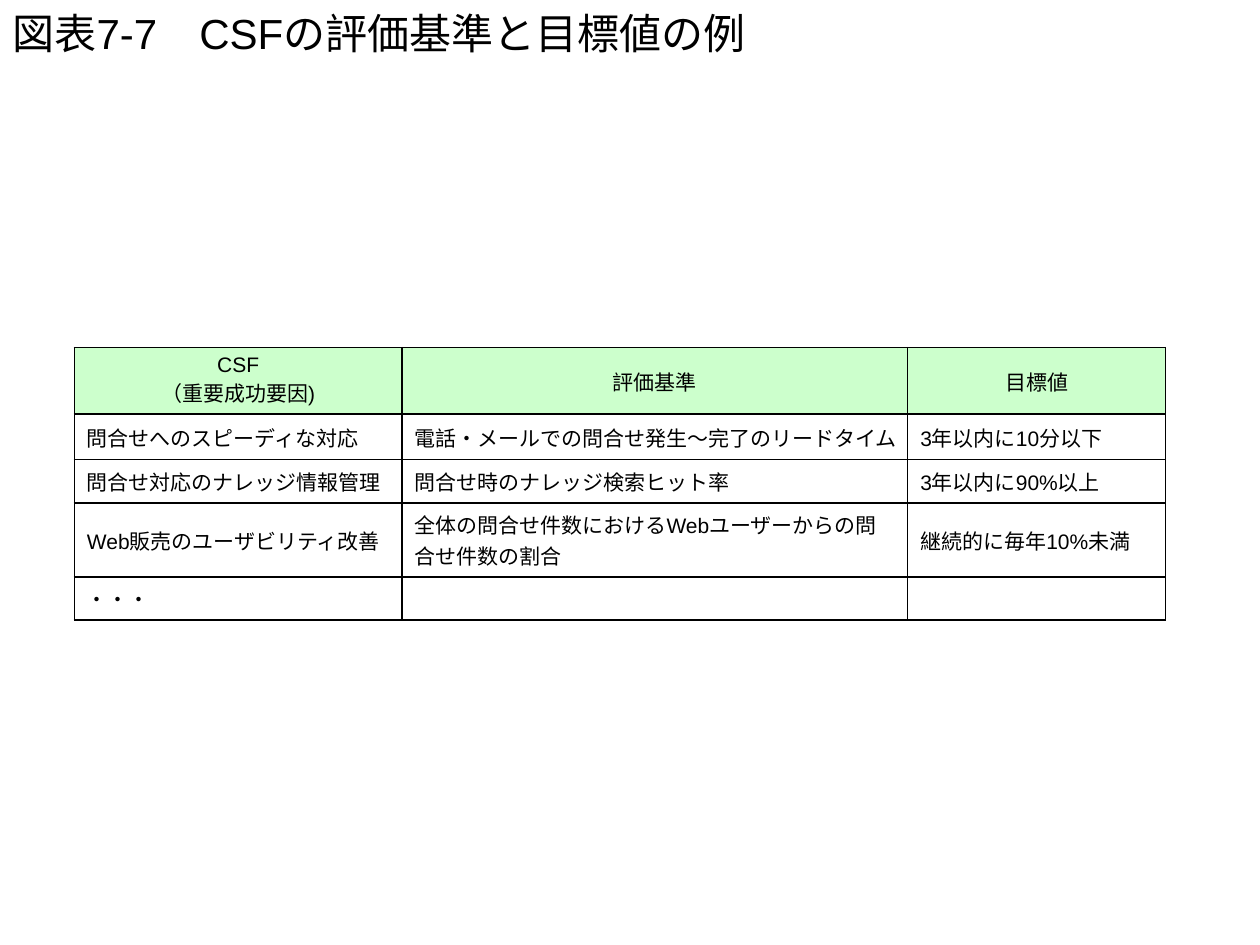
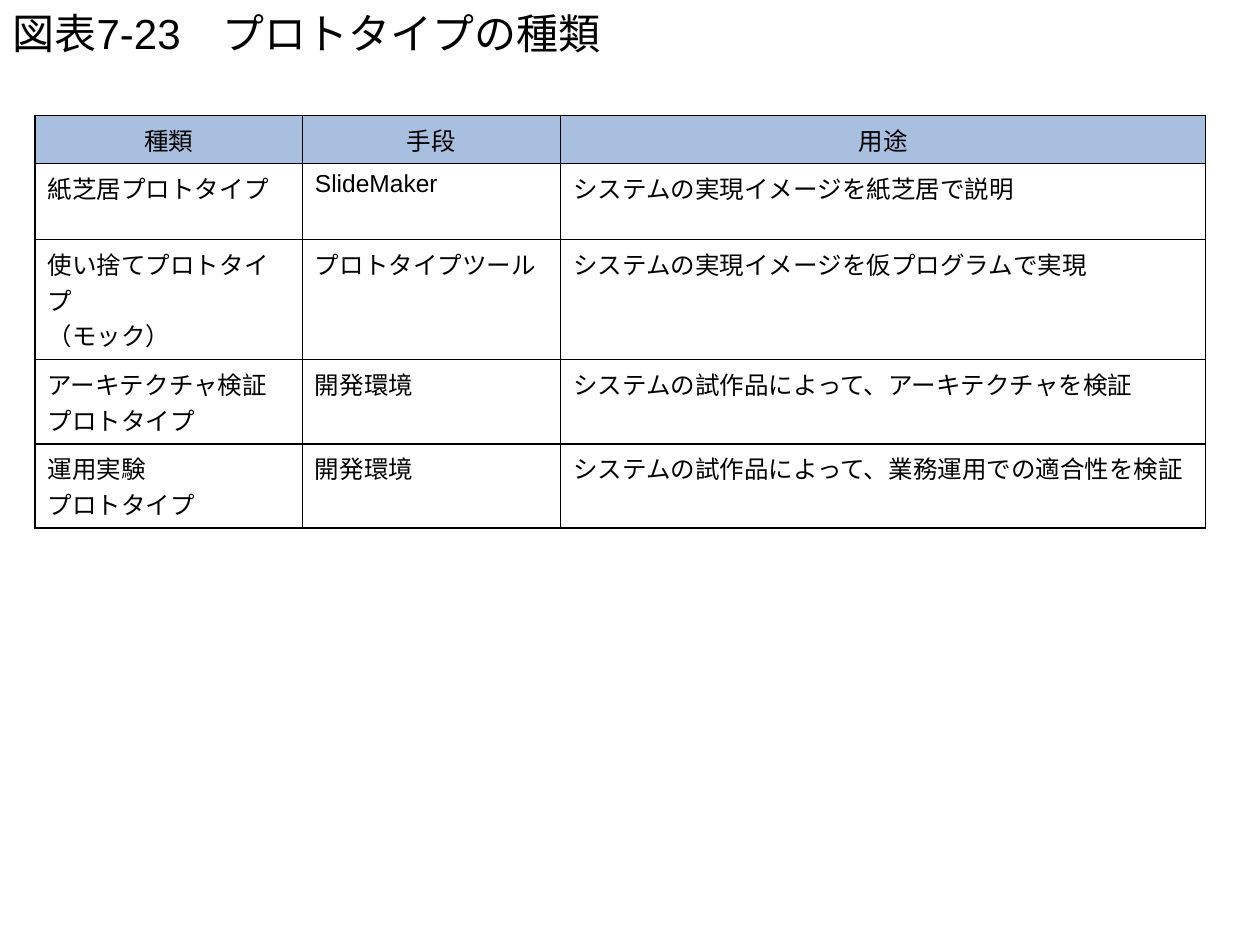
from pptx import Presentation
from pptx.dml.color import RGBColor
from pptx.enum.text import MSO_ANCHOR, MSO_AUTO_SIZE, PP_ALIGN
from pptx.oxml import parse_xml
from pptx.oxml.ns import nsdecls
from pptx.util import Pt

FONT = "Arial"
BLACK, WHITE = "000000", "FFFFFF"
GREEN, BLUE = "CCFFCC", "A8BFDF"
TITLE_ONLY = 5


def color(hex_string):
    return RGBColor.from_string(hex_string)


class Deck:
    """Holds the shared style and the slide being built."""

    def __init__(self):
        self.presentation = Presentation()
        self.presentation.slide_width = Pt(720)
        self.presentation.slide_height = Pt(540)
        self.slide = None

    def add_slide(self, title):
        layout = self.presentation.slide_layouts[TITLE_ONLY]
        self.slide = self.presentation.slides.add_slide(layout)
        shape = self.slide.shapes.title
        shape.left, shape.top = Pt(0), Pt(0)
        shape.width, shape.height = Pt(720), Pt(37.5)
        frame = shape.text_frame
        frame.text = title
        frame.auto_size = MSO_AUTO_SIZE.NONE
        frame.vertical_anchor = MSO_ANCHOR.MIDDLE
        self.format_paragraph(frame.paragraphs[0], 24, PP_ALIGN.LEFT)

    def format_paragraph(self, paragraph, size, alignment):
        paragraph.alignment = alignment
        paragraph.font.name = FONT
        paragraph.font.size = Pt(size)
        paragraph.font.bold = False
        paragraph.font.color.rgb = color(BLACK)

    def add_table(self, left, top, widths, heights, rows, size, header_fill, anchor):
        table = self.slide.shapes.add_table(
            len(rows), len(widths), Pt(left), Pt(top),
            Pt(sum(widths)), Pt(sum(heights))).table
        table.first_row = table.horz_banding = False
        for column, width in zip(table.columns, widths):
            column.width = Pt(width)
        for row, height in zip(table.rows, heights):
            row.height = Pt(height)
        for row_index, texts in enumerate(rows):
            is_header = row_index == 0
            for column_index, text in enumerate(texts):
                cell = table.cell(row_index, column_index)
                cell.text = text
                cell.vertical_anchor = anchor
                self.add_borders(cell)
                cell.fill.solid()
                cell.fill.fore_color.rgb = color(header_fill if is_header else WHITE)
                alignment = PP_ALIGN.CENTER if is_header else PP_ALIGN.LEFT
                for paragraph in cell.text_frame.paragraphs:
                    self.format_paragraph(paragraph, size, alignment)
        return table

    def add_borders(self, cell):
        properties = cell._tc.get_or_add_tcPr()
        for side in ("lnL", "lnR", "lnT", "lnB"):
            properties.append(parse_xml(
                f'<a:{side} {nsdecls("a")} w="{Pt(1)}"><a:solidFill>'
                f'<a:srgbClr val="{BLACK}"/></a:solidFill></a:{side}>'))


def build_criteria_slide(deck):
    deck.add_slide("図表7-7　CSFの評価基準と目標値の例")
    rows = [
        ("CSF\n（重要成功要因)", "評価基準", "目標値"),
        ("問合せへのスピーディな対応",
         "電話・メールでの問合せ発生～完了のリードタイム", "3年以内に10分以下"),
        ("問合せ対応のナレッジ情報管理",
         "問合せ時のナレッジ検索ヒット率", "3年以内に90%以上"),
        ("Web販売のユーザビリティ改善",
         "全体の問合せ件数におけるWebユーザーからの問合せ件数の割合",
         "継続的に毎年10%未満"),
        ("・・・", "", ""),
    ]
    table = deck.add_table(42.5, 198.6, (187.2, 289, 147.3),
                           (37.6, 26, 24.9, 41.8, 24.8),
                           rows, 12, GREEN, MSO_ANCHOR.MIDDLE)
    lead_time_cell = table.cell(1, 1)
    lead_time_cell.margin_right = Pt(2)


def build_prototype_slide(deck):
    deck.add_slide("図表7-23　プロトタイプの種類")
    rows = [
        ("種類", "手段", "用途"),
        ("紙芝居プロトタイプ", "SlideMaker", "システムの実現イメージを紙芝居で説明"),
        ("使い捨てプロトタイプ\n（モック）", "プロトタイプツール",
         "システムの実現イメージを仮プログラムで実現"),
        ("アーキテクチャ検証\nプロトタイプ", "開発環境",
         "システムの試作品によって、アーキテクチャを検証"),
        ("運用実験\nプロトタイプ", "開発環境",
         "システムの試作品によって、業務運用での適合性を検証"),
    ]
    deck.add_table(20.1, 65.9, (152.7, 147.6, 368.6), (27.4, 43.4, 68.6, 48, 48),
                   rows, 14, BLUE, MSO_ANCHOR.TOP)


def main():
    deck = Deck()
    build_criteria_slide(deck)
    build_prototype_slide(deck)
    deck.presentation.save("out.pptx")


if __name__ == "__main__":
    main()
